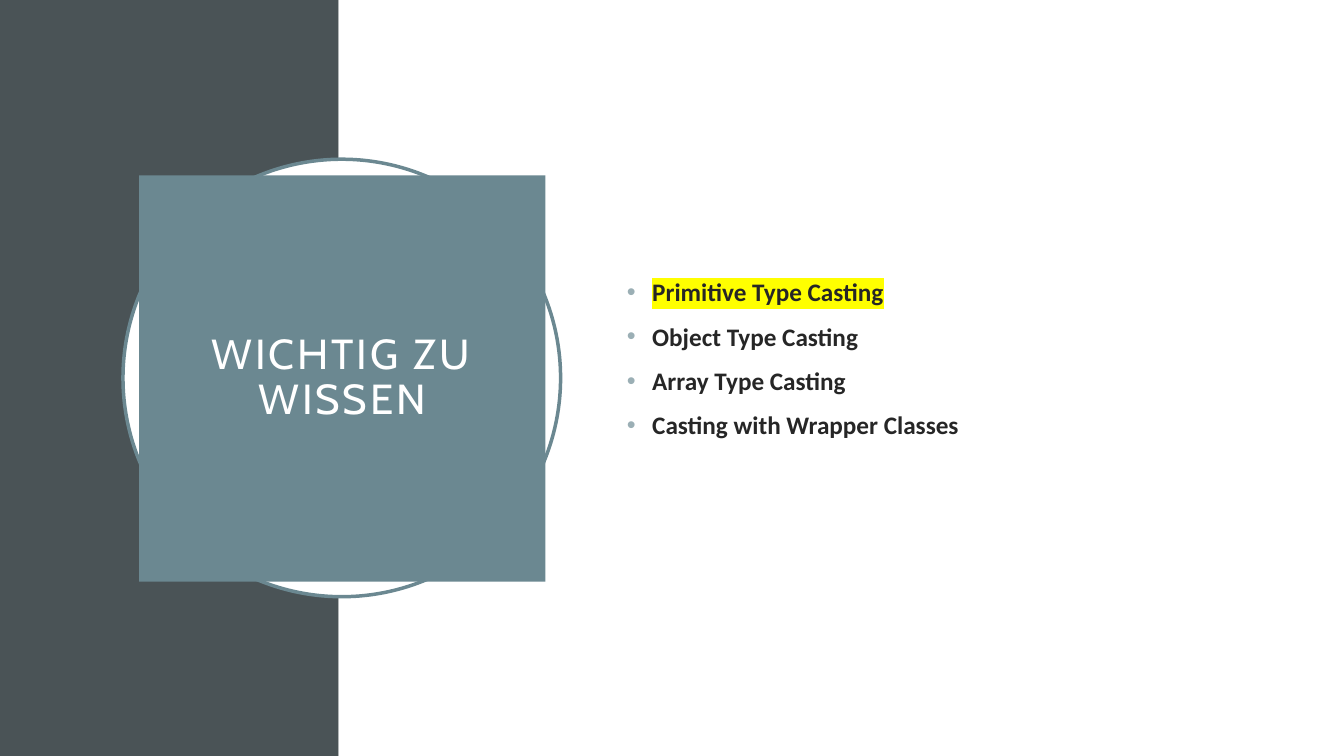
from lxml import etree
from pptx import Presentation
from pptx.dml.color import RGBColor
from pptx.enum import shapes, text
from pptx.oxml.ns import qn
from pptx.util import Inches, Pt

SLATE, TEAL, WHITE = "4A5356", "6B8891", "FFFFFF"
INK, BULLET, YELLOW = "262626", "9BAFB5", "FFFF00"
TOPICS = [
    ("Primitive Type Casting", YELLOW),
    ("Object Type Casting", None),
    ("Array Type Casting", None),
    ("Casting with Wrapper Classes", None),
]


def rgb(value):
    return RGBColor.from_string(value)


def add_panel(s, kind, box, fill, line=None):
    sp = s.shapes.add_shape(kind, *map(Inches, box))
    sp.shadow.inherit = False
    sp.fill.solid()
    sp.fill.fore_color.rgb = rgb(fill)
    if line:
        sp.line.color.rgb = rgb(line)
        sp.line.width = Pt(2.5)
    else:
        sp.line.fill.background()
    return sp


def set_frame(tf, **margins):
    tf.word_wrap = True
    tf.vertical_anchor = text.MSO_ANCHOR.MIDDLE
    for side, inches in margins.items():
        setattr(tf, f"margin_{side}", Inches(inches))


def add_run(p, words, color, highlight=None, **formats):
    r = p.add_run()
    r.text = words
    r.font.color.rgb = rgb(color)
    if highlight:
        mark = etree.SubElement(r.font._element, qn("a:highlight"))
        etree.SubElement(mark, qn("a:srgbClr"), val=highlight)
    for name, value in formats.items():
        setattr(r.font, name, value)
    return r


def add_bullet(p, color):
    p.space_before = Pt(10)
    pPr = p._p.get_or_add_pPr()
    indent = Inches(0.25)
    pPr.set("marL", str(indent))
    pPr.set("indent", str(-indent))
    clr = etree.SubElement(pPr, qn("a:buClr"))
    etree.SubElement(clr, qn("a:srgbClr"), val=color)
    etree.SubElement(pPr, qn("a:buFont"), typeface="Arial")
    etree.SubElement(pPr, qn("a:buChar"), char="•")


def add_title(sp, words):
    tf = sp.text_frame
    set_frame(tf, left=0.2, top=0.2, right=0.2, bottom=0.2)
    p = tf.paragraphs[0]
    p.alignment = text.PP_ALIGN.CENTER
    p.line_spacing = 0.9
    r = add_run(p, words, WHITE, size=Pt(30), name="Cabin")
    r.font._element.set("spc", "200")


def add_topics(s, box, topics):
    tf = s.shapes.add_textbox(*map(Inches, box)).text_frame
    set_frame(tf, bottom=0.43)
    for i, (words, highlight) in enumerate(topics):
        p = tf.add_paragraph() if i else tf.paragraphs[0]
        add_bullet(p, BULLET)
        add_run(p, words, INK, highlight, size=Pt(18), bold=True, name="Calibri")


def main():
    prs = Presentation()
    prs.slide_width, prs.slide_height = Inches(13.33), Inches(7.5)
    s = prs.slides.add_slide(prs.slide_layouts[6])
    rect, oval = shapes.MSO_SHAPE.RECTANGLE, shapes.MSO_SHAPE.OVAL

    # Background halves
    add_panel(s, rect, (0, 0, 3.36, 7.5), SLATE)
    add_panel(s, rect, (3.36, 0, 9.97, 7.5), WHITE)

    # Title square in its ring
    add_panel(s, oval, (1.22, 1.58, 4.34, 4.34), WHITE, TEAL)
    square = add_panel(s, rect, (1.38, 1.74, 4.03, 4.03), TEAL)
    add_title(square, "WICHTIG ZU WISSEN")

    # Topic list
    add_topics(s, (6.12, 1.53, 5.82, 4.43), TOPICS)
    prs.save("out.pptx")


if __name__ == "__main__":
    main()
